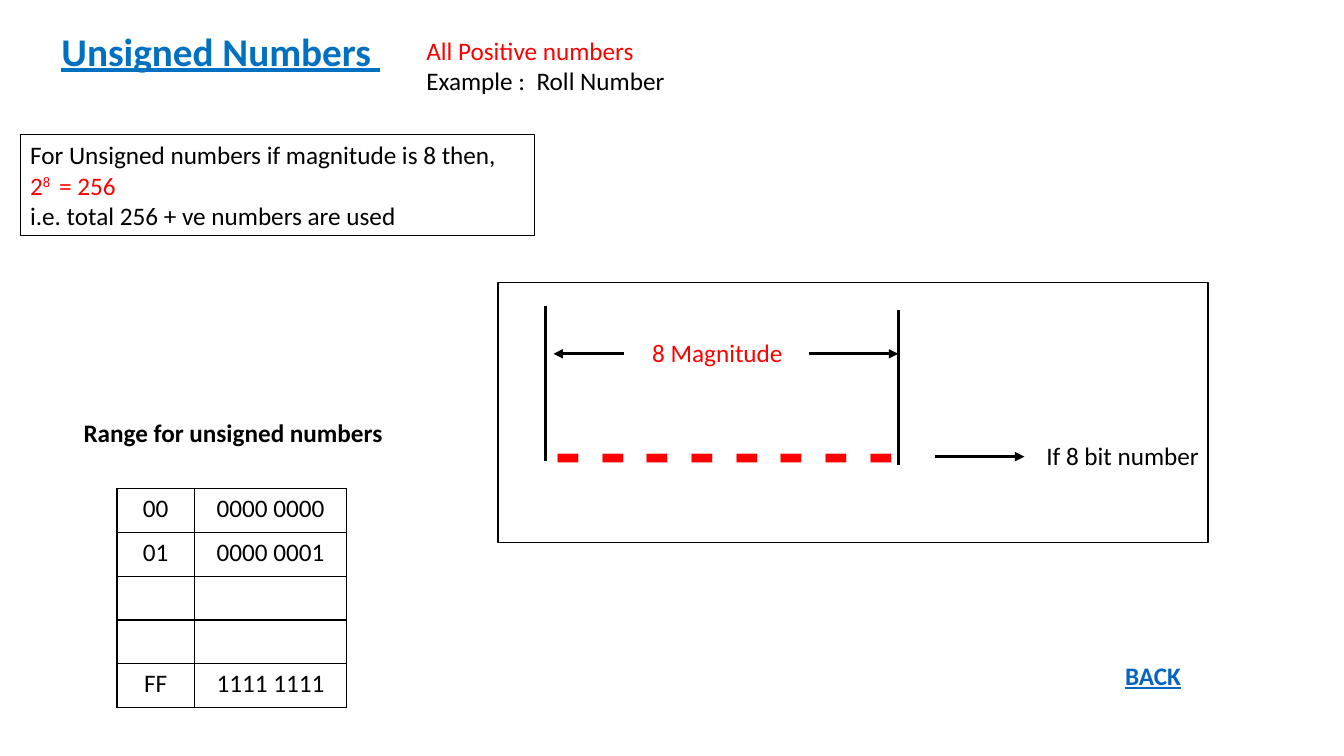
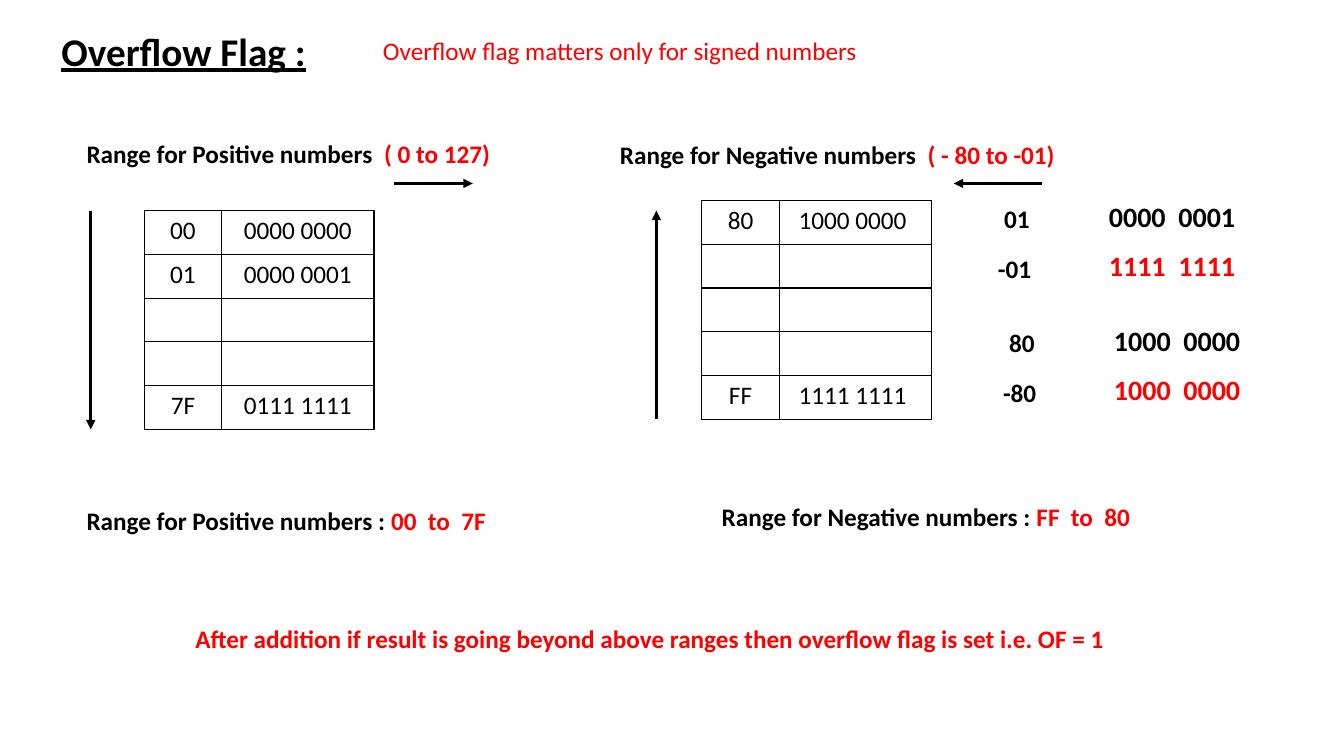
from dataclasses import dataclass

from lxml import etree
from pptx import Presentation
from pptx.dml.color import RGBColor as RGB
from pptx.enum.shapes import MSO_CONNECTOR as Line, MSO_SHAPE as Form
from pptx.enum.text import MSO_ANCHOR as Anchor, MSO_AUTO_SIZE as Auto, PP_ALIGN as Align
from pptx.oxml.ns import qn
from pptx.util import Inches, Pt


@dataclass(frozen=True)
class Theme:
    font: str = "Calibri"
    black: RGB = RGB(0, 0, 0)
    red: RGB = RGB(0xFF, 0, 0)
    blue: RGB = RGB(0, 0x70, 0xC0)
    link: RGB = RGB(0x05, 0x63, 0xC1)
    body: int = 18
    bits: int = 20
    title: int = 28
    dash: int = 60
    thin: float = 0.75
    edge: float = 1
    thick: float = 2.25


T = Theme()


class Deck:
    def __init__(self):
        self.prs = Presentation()
        self.prs.slide_width, self.prs.slide_height = Inches(13.33), Inches(7.5)
        self.page = None

    def place(self, *nums):
        return [Inches(n) for n in nums]

    def add_run(self, para, text, color=T.black, size=T.body, bold=False, line=False, sup=False):
        run = para.add_run()
        run.text = text
        font = run.font
        font.name, font.size, font.bold = T.font, Pt(size), bold
        font.underline = line
        font.color.rgb = color
        if sup:
            run._r.get_or_add_rPr().set("baseline", "30000")

    def fill_text(self, frame, rows, **style):
        """Each row is a list of runs; a run is (text, colour, options)."""
        for i, row in enumerate(rows):
            para = frame.add_paragraph() if i else frame.paragraphs[0]
            para.alignment = Align.LEFT
            for text, color, *more in row:
                self.add_run(para, text, color, **{**style, **(more[0] if more else {})})

    def start(self, title, color):
        self.page = self.prs.slides.add_slide(self.prs.slide_layouts[5])
        head = self.page.shapes.title
        head.left, head.top, head.width, head.height = self.place(0.51, 0.22, 3.7, 0.57)
        frame = head.text_frame
        frame.auto_size, frame.vertical_anchor = Auto.NONE, Anchor.TOP
        self.fill_text(frame, [[(title, color)]], size=T.title, bold=True, line=True)

    def text(self, x, y, w, h, *rows, wrap=True, **style):
        box = self.page.shapes.add_textbox(*self.place(x, y, w, h))
        box.text_frame.word_wrap = wrap
        self.fill_text(box.text_frame, rows, **style)

    def frame(self, x, y, w, h, width, *rows):
        box = self.page.shapes.add_shape(Form.RECTANGLE, *self.place(x, y, w, h))
        box.shadow.inherit = False
        box.fill.background()
        box.line.color.rgb, box.line.width = T.black, Pt(width)
        box.text_frame.word_wrap = True
        self.fill_text(box.text_frame, rows)

    def line(self, x1, y1, x2, y2, arrow=True):
        rule = self.page.shapes.add_connector(Line.STRAIGHT, *self.place(x1, y1, x2, y2))
        rule.line.color.rgb, rule.line.width = T.black, Pt(T.thick)
        if arrow:
            etree.SubElement(rule.line._get_or_add_ln(), qn("a:tailEnd"), type="triangle")
        etree.SubElement(rule._element.spPr, qn("a:effectLst"))

    def border(self, cell):
        props = cell._tc.get_or_add_tcPr()
        for side in ("lnL", "lnR", "lnT", "lnB"):
            edge = etree.SubElement(props, qn("a:" + side), w=str(Pt(T.edge)))
            fill = etree.SubElement(edge, qn("a:solidFill"))
            etree.SubElement(fill, qn("a:srgbClr"), val=str(T.black))

    def table(self, x, y, rows):
        cols, high = (0.77, 1.51), 2.17
        grid = self.page.shapes.add_table(
            len(rows), len(cols), *self.place(x, y, sum(cols), high)).table
        grid.first_row = grid.horz_banding = False
        for col, wide in zip(grid.columns, cols):
            col.width = Inches(wide)
        for i, row in enumerate(rows):
            grid.rows[i].height = Inches(high / len(rows))
            for j, text in enumerate(row):
                cell = grid.cell(i, j)
                self.border(cell)
                cell.fill.background()
                para = cell.text_frame.paragraphs[0]
                para.alignment = Align.CENTER
                if text:
                    self.add_run(para, text)
                else:
                    para.font.size = Pt(T.body)


GAP = ("", "")


def unsigned(deck):
    deck.start("Unsigned Numbers ", T.blue)
    deck.text(4.13, 0.3, 5.9, 0.71,
              [("All Positive numbers", T.red)],
              [("Example :  Roll Number", T.black)])
    deck.frame(0.2, 1.33, 5.1, 1.01, T.thin,
               [("For Unsigned numbers if magnitude is 8 then,", T.black)],
               [("2", T.red), ("8 ", T.red, {"sup": True}), (" = 256", T.red)],
               [("i.e. total 256 + ve numbers are used", T.black)])

    # Range table
    deck.text(0.73, 4.09, 3.95, 0.4, [("Range for unsigned numbers", T.black)], bold=True)
    deck.table(1.16, 4.85, [("00", "0000 0000"), ("01", "0000 0001"),
                            GAP, GAP, ("FF", "1111 1111")])

    # Bit diagram
    deck.text(5.41, 3.9, 4.03, 1.11, [("- - - - - - - -", T.red)], size=T.dash, bold=True)
    deck.line(6.19, 3.51, 5.49, 3.51)
    deck.line(8.02, 3.51, 8.91, 3.51)
    deck.text(6.37, 3.3, 1.56, 0.4, [("8 Magnitude", T.red)])
    deck.line(9.27, 4.53, 10.16, 4.53)
    deck.text(10.28, 4.32, 2.53, 0.4, [("If 8 bit number", T.black)])
    for x, y in ((5.41, 3.04), (8.91, 3.08)):
        deck.line(x, y, x, y + 1.53, arrow=False)
    deck.frame(4.94, 2.8, 7.04, 2.58, T.edge)

    deck.text(11.06, 6.5, 0.93, 0.4, [("BACK", T.link)], bold=True, line=True)


def overflow(deck):
    deck.start("Overflow Flag :", T.black)
    deck.text(3.7, 0.3, 5.93, 0.4, [("Overflow flag matters only for signed numbers", T.red)])

    # Headings and ranges
    for x, y, label, span in (
            (0.76, 1.32, "Range for Positive numbers  ", "( 0 to 127)"),
            (6.05, 1.33, "Range for Negative numbers  ", "( - 80 to -01)"),
            (0.76, 4.96, "Range for Positive numbers : ", "00  to  7F"),
            (7.06, 4.92, "Range for Negative numbers : ", "FF  to  80")):
        deck.text(x, y, 4.59, 0.4, [(label, T.black), (span, T.red)], bold=True)

    # Tables and the direction of counting
    deck.table(1.43, 2.09, [("00", "0000 0000"), ("01", "0000 0001"),
                            GAP, GAP, ("7F", "0111 1111")])
    deck.table(6.96, 1.99, [("80", "1000 0000 "), GAP, GAP, GAP, ("FF", "1111 1111 ")])
    for ends in ((3.91, 1.82, 4.69, 1.82), (10.33, 1.82, 9.46, 1.82),
                 (0.9, 2.09, 0.9, 4.26), (6.51, 4.16, 6.51, 2.09)):
        deck.line(*ends)

    # Each number above its negative
    for x, y, num, plus, minus in ((9.86, 1.93, "01", "0000  0001", "1111  1111"),
                                   (9.91, 3.16, "80", "1000  0000", "1000  0000")):
        low = y + 0.49
        deck.text(x, y + 0.04, 0.46, 0.4, [(num, T.black)], wrap=False, bold=True)
        deck.text(x - 0.06, low + 0.04, 0.54, 0.4, [("-" + num, T.black)], wrap=False, bold=True)
        for top, bits, color in ((y, plus, T.black), (low, minus, T.red)):
            deck.text(x + 1.04, top, 1.81, 0.44, [(bits, color)], size=T.bits, bold=True)

    deck.text(1.84, 6.13, 11.2, 0.4, [(
        "After addition if result is going beyond above ranges "
        "then overflow flag is set i.e. OF = 1", T.red)], bold=True)


def main():
    deck = Deck()
    unsigned(deck)
    overflow(deck)
    deck.prs.save("out.pptx")


if __name__ == "__main__":
    main()
